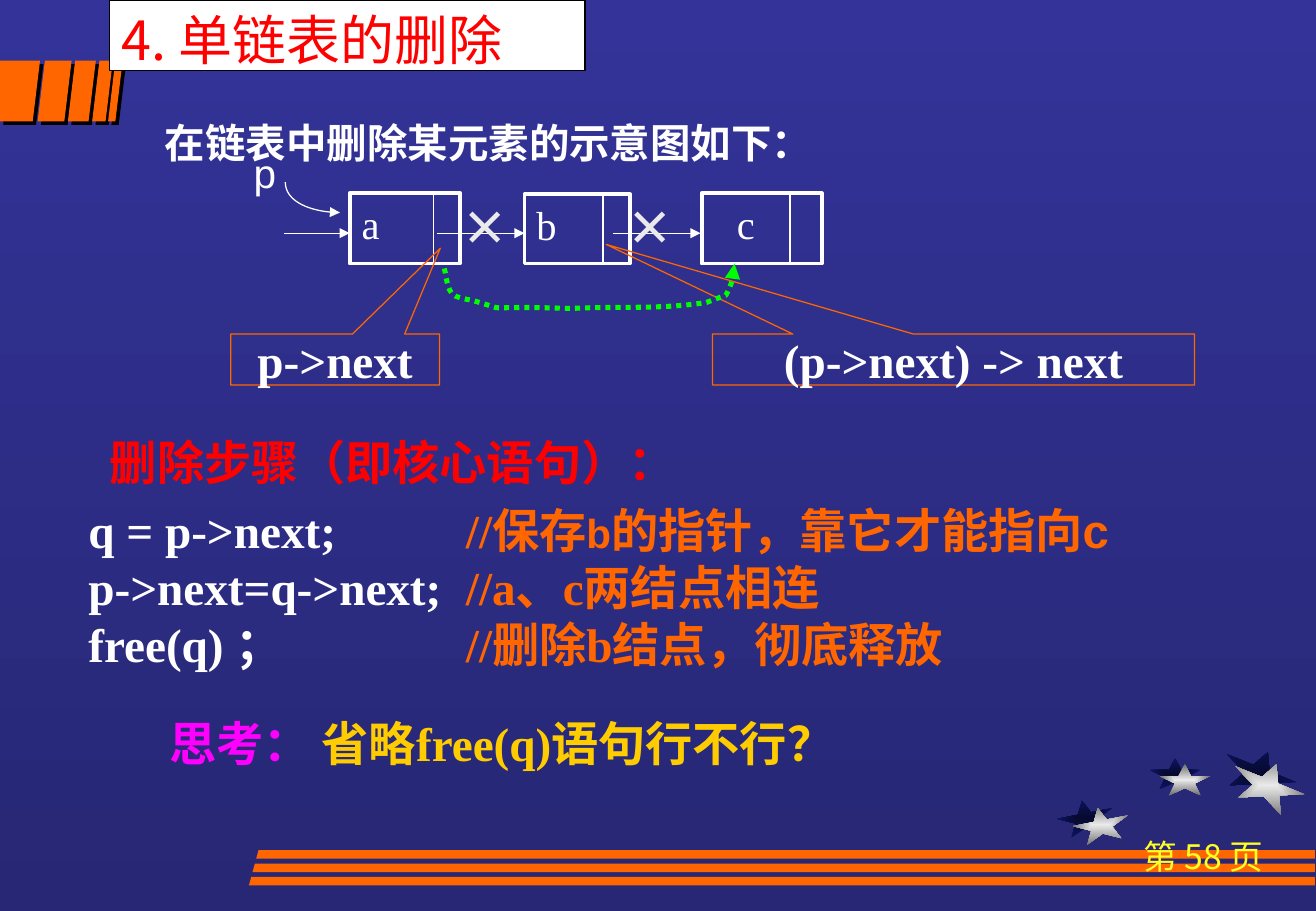
from lxml.etree import SubElement
from pptx import Presentation
from pptx.dml.color import RGBColor
from pptx.enum.dml import MSO_LINE
from pptx.enum.shapes import MSO_CONNECTOR, MSO_SHAPE
from pptx.enum.text import MSO_ANCHOR, MSO_AUTO_SIZE, PP_ALIGN
from pptx.oxml.ns import qn
from pptx.util import Pt

PX = 9144  # 100 px to the inch
WHITE = RGBColor(0xFF, 0xFF, 0xFF)
BLACK = RGBColor(0x00, 0x00, 0x00)
RED = RGBColor(0xFF, 0x00, 0x00)
ORANGE = RGBColor(0xFF, 0x66, 0x00)
GREEN = RGBColor(0x00, 0xFF, 0x00)
MAGENTA = RGBColor(0xFF, 0x00, 0xFF)
GOLD = RGBColor(0xFF, 0xCC, 0x00)
YELLOW = RGBColor(0xFF, 0xFF, 0x25)
LIGHT_GREY = RGBColor(0xEA, 0xEA, 0xEA)
STAR_GREY = RGBColor(0x6C, 0x6C, 0x6C)
STAR_NAVY = RGBColor(0x06, 0x0A, 0x2F)
STAR_BLUE = RGBColor(0x0D, 0x15, 0x65)
SKY_TOP = RGBColor(0x33, 0x33, 0x99)
SKY_BOTTOM = RGBColor(0x27, 0x27, 0x75)
SANS, SERIF, LATIN = "Noto Sans CJK SC", "Times New Roman", "Arial"
LEFT, CENTER = PP_ALIGN.LEFT, PP_ALIGN.CENTER


def write(frame, align, *lines, anchor=MSO_ANCHOR.TOP, wrap=True):
    """Fill a text frame; each line lists (text, size, font, colour, bold) spans."""
    frame.word_wrap = wrap
    frame.auto_size = MSO_AUTO_SIZE.NONE
    frame.vertical_anchor = anchor
    for index, spans in enumerate(lines):
        para = frame.add_paragraph() if index else frame.paragraphs[0]
        para.alignment = align
        for text, size, name, color, bold in spans:
            span = para.add_run()
            span.text = text
            for key, value in {"size": Pt(size), "name": name, "bold": bold}.items():
                setattr(span.font, key, value)
            span.font.color.rgb = color
            SubElement(span._r.get_or_add_rPr(), qn("a:ea"), typeface=SANS)


def draw_line(shape, color, width, arrow=False):
    """Style a line or outline, without the theme shadow."""
    shape.line.color.rgb = color
    shape.line.width = Pt(width)
    if arrow:
        SubElement(shape.line._get_or_add_ln(), qn("a:tailEnd"), type="triangle")
    SubElement(shape._element.spPr, qn("a:effectLst"))


deck = Presentation()
deck.slide_width, deck.slide_height = 1084 * PX, 750 * PX
page = deck.slides.add_slide(deck.slide_layouts[5])
shapes = page.shapes

sky = page.background.fill
sky.gradient()
sky.gradient_angle = 270
for stop, color in zip(sky.gradient_stops, (SKY_TOP, SKY_BOTTOM)):
    stop.color.rgb = color

# Stars, each over its dark twin
back_stars = [(871, 659, 46, 28, -11), (947, 624, 42, 26, 0), (1007, 618, 61, 37, 22)]
front_stars = [(884, 665, 46, 28, -11), (955, 629, 42, 26, 0), (1014, 628, 61, 37, 22)]
for stars, colors in ((back_stars, (STAR_NAVY, STAR_BLUE)),
                      (front_stars, (LIGHT_GREY, STAR_GREY))):
    for left, top, width, height, turn in stars:
        star = shapes.add_shape(MSO_SHAPE.STAR_5_POINT,
                                left * PX, top * PX, width * PX, height * PX)
        star.rotation = turn
        star.shadow.inherit = False
        star.line.fill.background()
        star.fill.gradient()
        for stop, color, position in zip(star.fill.gradient_stops, colors, (0, 1)):
            stop.color.rgb = color
            stop.position = position
        gradient = star._element.spPr.find(qn("a:gradFill"))
        gradient.remove(gradient.find(qn("a:lin")))
        centre = SubElement(gradient, qn("a:path"), path="rect")
        SubElement(centre, qn("a:fillToRect"), l="50000", t="50000", r="50000", b="50000")

# Slanted stripes at the top left, bars at the bottom
stripes = [[(left, 50), (right, 50), (right - 6, 100), (max(left - 6, 0), 100)]
           for left, right in ((0, 33), (37, 59), (62, 79), (82, 93), (95, 101))]
bars = [[(213 - 3 * row, top), (1083, top), (1083, top + 7), (211 - 3 * row, top + 7)]
        for row, top in enumerate((700, 711, 722))]
for outline in stripes + bars:
    builder = shapes.build_freeform(*outline[0], scale=PX)
    builder.add_line_segments(outline[1:], close=True)
    band = builder.convert_to_shape()
    band.shadow.inherit = False
    band.fill.solid()
    band.fill.fore_color.rgb = ORANGE
    band.line.fill.background()
    if outline in stripes:
        effects = band._element.spPr.find(qn("a:effectLst"))
        shade = SubElement(effects, qn("a:outerShdw"), dist="35560", dir="2700000",
                           algn="ctr", rotWithShape="0")
        SubElement(shade, qn("a:srgbClr"), val=str(BLACK))

title = shapes.title
shapes._spTree.append(title._element)
title.left, title.top, title.width, title.height = 90 * PX, 0, 392 * PX, 58 * PX
title.fill.solid()
title.fill.fore_color.rgb = WHITE
draw_line(title, BLACK, 0.75)
write(title.text_frame, LEFT, [("4. 单链表的删除", 32, SANS, RED, False)])

# List nodes
for letter, left, divider, right, top, align in (("a", 288, 357, 379, 159, LEFT),
                                                 ("b", 432, 497, 519, 160, LEFT),
                                                 ("c", 578, 651, 677, 159, CENTER)):
    node = shapes.add_shape(MSO_SHAPE.RECTANGLE, left * PX, top * PX,
                            (right - left) * PX, (217 - top) * PX)
    node.fill.background()
    draw_line(node, WHITE, 2.25)
    write(node.text_frame, align, [(letter, 24, SERIF, WHITE, False)])
    node.text_frame.margin_right = (right - divider + 10) * PX
    wall = shapes.add_connector(MSO_CONNECTOR.STRAIGHT, divider * PX, top * PX,
                                divider * PX, 217 * PX)
    draw_line(wall, WHITE, 1)

for start, end in ((234, 288), (360, 432), (505, 577)):
    link = shapes.add_connector(MSO_CONNECTOR.STRAIGHT, start * PX, 192 * PX,
                                end * PX, 192 * PX)
    draw_line(link, WHITE, 0.75, arrow=True)

# Callouts
for text, left, width, tip in (("p->next", 190, 172, (0.504, -2.183)),
                               ("(p->next) -> next", 587, 397, (-0.721, -2.258))):
    callout = shapes.add_shape(MSO_SHAPE.RECTANGULAR_CALLOUT, left * PX, 275 * PX,
                               width * PX, 42 * PX)
    callout.adjustments[0], callout.adjustments[1] = tip
    callout.fill.background()
    draw_line(callout, ORANGE, 0.75)
    write(callout.text_frame, CENTER, [(text, 28, SERIF, WHITE, True)],
          anchor=MSO_ANCHOR.MIDDLE)

# Curved arrows: a start, then three Bézier points for each piece
pointer_curve = [(235, 150), (235, 164), (255, 175), (280, 175)]
bypass_curve = [(366, 221), (368, 228), (368, 239), (374, 243),
                (376, 245), (387, 247), (388, 247),
                (427, 258), (385, 251), (470, 254),
                (507, 252), (544, 255), (582, 249),
                (587, 247), (598, 243), (598, 243),
                (602, 235), (605, 227), (605, 217)]
for points, color, width, dash in ((pointer_curve, WHITE, 0.75, None),
                                   (bypass_curve, GREEN, 3, MSO_LINE.ROUND_DOT)):
    builder = shapes.build_freeform(*points[0], scale=PX)
    builder.add_line_segments(points[1:], close=False)
    curve = builder.convert_to_shape()
    curve.fill.background()
    curve.line.dash_style = dash
    draw_line(curve, color, width, arrow=True)
    track = next(curve._element.iter(qn("a:path")))
    segments = track.findall(qn("a:lnTo"))
    for first in range(0, len(segments), 3):
        bezier = SubElement(track, qn("a:cubicBezTo"))
        for segment in segments[first:first + 3]:
            bezier.append(segment[0])
            track.remove(segment)

# Single-line texts
for left, top, width, height, align, wrap, spans in (
    (900, 683, 183, 60, CENTER, True, [("第 58 页", 20, SANS, YELLOW, False)]),
    (126, 92, 553, 50, CENTER, False,
     [("在链表中删除某元素的示意图如下：", 24, SANS, WHITE, True)]),
    (199, 117, 42, 50, LEFT, True, [("p", 24, LATIN, WHITE, False)]),
    (370, 158, 54, 57, LEFT, True, [("×", 28, SANS, LIGHT_GREY, True)]),
    (506, 158, 54, 57, LEFT, True, [("×", 28, SANS, LIGHT_GREY, True)]),
    (46, 352, 555, 57, CENTER, True, [("删除步骤（即核心语句）：", 28, SANS, RED, True)]),
    (81, 583, 665, 57, CENTER, True,
     [("思考：", 28, SANS, MAGENTA, True), (" 省略", 28, SANS, GOLD, True),
      ("free(q)语句", 28, SERIF, GOLD, True), ("行不行？", 28, SANS, GOLD, True)]),
):
    box = shapes.add_textbox(left * PX, top * PX, width * PX, height * PX)
    write(box.text_frame, align, spans, wrap=wrap)

# Deletion steps, with comments lined up on a tab stop
steps = shapes.add_textbox(63 * PX, 408 * PX, 975 * PX, 150 * PX)
write(steps.text_frame, LEFT,
      [("q = p->next;\t", 28, SERIF, WHITE, True), ("//", 28, SERIF, ORANGE, True),
       ("保存", 28, SANS, ORANGE, True), ("b", 24, LATIN, ORANGE, True),
       ("的指针，靠它才能指向c", 28, LATIN, ORANGE, True)],
      [("p->next=q->next;\t", 28, SERIF, WHITE, True),
       ("//a、c两结点相连", 28, SERIF, ORANGE, True)],
      [("free(q) ；\t", 28, SERIF, WHITE, True),
       ("//删除b结点，彻底释放", 28, SERIF, ORANGE, True)])
for para in steps.text_frame.paragraphs:
    tabs = SubElement(para._p.get_or_add_pPr(), qn("a:tabLst"))
    SubElement(tabs, qn("a:tab"), pos=str(311 * PX), algn="l")

deck.save("out.pptx")
